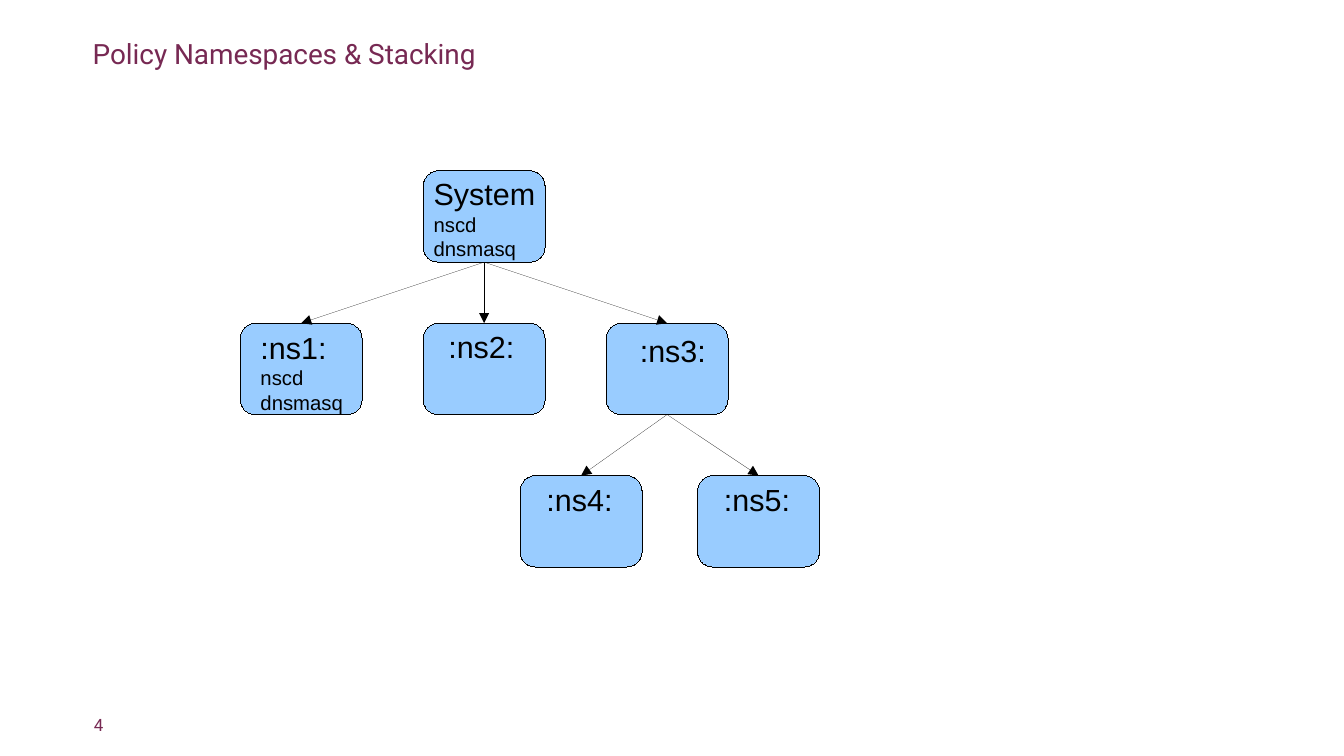
"""Build the slide showing the tree of policy namespaces."""
from pptx import Presentation
from pptx.dml.color import RGBColor as RGB
from pptx.enum.shapes import MSO_CONNECTOR as CONN, MSO_SHAPE as SHAPE
from pptx.enum.text import MSO_ANCHOR as ANCHOR, MSO_AUTO_SIZE as FIT, PP_ALIGN as ALIGN
from pptx.oxml.ns import qn
from pptx.util import Inches, Pt
from lxml.etree import SubElement

COLORS = {"plum": "772953", "box": "99CCFF", "ink": "000000"}
LEFT, TOP, COL, ROW = 1.97, 1.4, 1.5, 1.25
BOX_W, BOX_H = 1, 0.75
BOTTOM_SITE, TOP_SITE = 2, 0
HAIRLINE = Pt(0.01)


def rgb(name):
    return RGB.from_string(COLORS[name])


def write(tf, lines, font, color, anchor, margins):
    fmt = dict(zip(("margin_left", "margin_top", "margin_right", "margin_bottom"),
                   map(Inches, margins)))
    fmt.update(word_wrap=True, auto_size=FIT.NONE, vertical_anchor=anchor)
    for key, value in fmt.items():
        setattr(tf, key, value)
    for i, (text, size) in enumerate(lines):
        p = tf.add_paragraph() if i else tf.paragraphs[0]
        p.alignment = ALIGN.LEFT
        r = p.add_run()
        r.text = text
        for key, value in {"name": font, "size": Pt(size)}.items():
            setattr(r.font, key, value)
        r.font.color.rgb = rgb(color)


prs = Presentation()
prs.slide_width, prs.slide_height = Inches(11.02), Inches(6.2)
layout = prs.slide_layouts[5]
for holder in (layout, prs.slide_master):
    for ph in list(holder.placeholders):
        if ph.top > prs.slide_height:
            ph.element.getparent().remove(ph.element)
s = prs.slides.add_slide(layout)

title = s.shapes.title
for key, value in {"left": 0.76, "top": 0.33, "width": 8.45, "height": 0.21}.items():
    setattr(title, key, Inches(value))
write(title.text_frame, [("Policy Namespaces & Stacking", 16.5)],
      "Roboto", "plum", ANCHOR.MIDDLE, (0, 0, 0, 0))

number = s.shapes.add_textbox(*map(Inches, (0.77, 5.86, 5.37, 0.19)))
write(number.text_frame, [("4", 10)], "Roboto", "plum", ANCHOR.TOP, (0, 0, 0, 0))

services = ["nscd", "dnsmasq"]
nodes = [
    ("System", services, 1, 0, 0.05, 0),
    (":ns1:", services, 0, 1, 0.13, 0.01),
    (":ns2:", [], 1, 1, 0.17, 0),
    (":ns3:", [], 2, 1, 0.24, 0.04),
    (":ns4:", [], 1.53, 2, 0.18, 0.01),
    (":ns5:", [], 2.5, 2, 0.18, 0.01),
]
boxes = {}
for name, items, col, row, pad_x, pad_y in nodes:
    sp = s.shapes.add_shape(SHAPE.ROUNDED_RECTANGLE, Inches(LEFT + col * COL),
                            Inches(TOP + row * ROW), Inches(BOX_W), Inches(BOX_H))
    sp.shadow.inherit = False
    sp.fill.solid()
    sp.fill.fore_color.rgb = rgb("box")
    sp.line.color.rgb = rgb("ink")
    sp.line.width = HAIRLINE
    write(sp.text_frame, [(name, 18)] + [(item, 12) for item in items],
          "Arial", "ink", ANCHOR.TOP, (pad_x, pad_y, 0, 0))
    boxes[name] = sp

children = {"System": (":ns1:", ":ns2:", ":ns3:"), ":ns3:": (":ns4:", ":ns5:")}
for parent, names in children.items():
    for child in names:
        arrow = s.shapes.add_connector(CONN.STRAIGHT, 0, 0, 0, 0)
        arrow.begin_connect(boxes[parent], BOTTOM_SITE)
        arrow.end_connect(boxes[child], TOP_SITE)
        arrow.line.color.rgb = rgb("ink")
        arrow.line.width = HAIRLINE
        SubElement(arrow.line._get_or_add_ln(), qn("a:tailEnd"), type="triangle")
        SubElement(arrow._element.spPr, qn("a:effectLst"))

prs.save("out.pptx")
